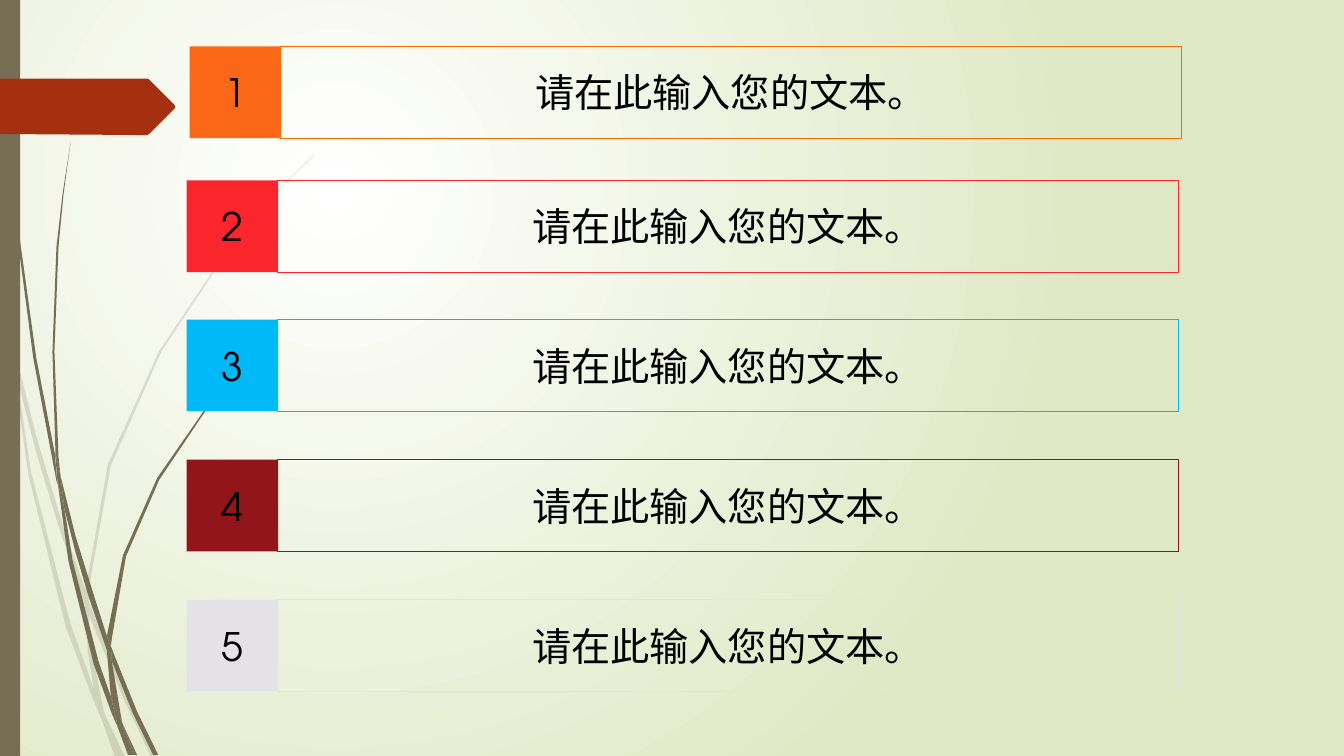
import dataclasses
import typing

import lxml.etree
import pptx
import pptx.dml.color
import pptx.enum.shapes
import pptx.enum.text
import pptx.oxml
import pptx.oxml.ns
import pptx.shapes.autoshape
import pptx.shapes.shapetree
import pptx.slide
import pptx.util

Inches = pptx.util.Inches
Points = tuple[tuple[float, float], ...]
Shapes = pptx.shapes.shapetree.SlideShapes | pptx.shapes.shapetree.GroupShapes

COLORS = {
    "white": "FFFFFF", "sage": "DFE8C4", "olive": "766F54", "rust": "A53010",
    "black": "000000", "orange": "FA6717", "orange line": "F96D00",
    "red": "FB262C", "blue": "00BAF7", "maroon": "921519", "grey": "E4E2E6",
}
FONT = "TeX Gyre Adventor"
PROMPT = "请在此输入您的文本。"
BADGE_SIZE = 0.91
FRAME_OFFSET = 0.9
FRAME_WIDTH = 8.94


@dataclasses.dataclass(frozen=True)
class Row:
    left: float
    top: float
    fill: str
    line: str


@dataclasses.dataclass(frozen=True)
class Grass:
    opacity: int
    blades: tuple[Points, ...]


ROWS = (
    Row(1.88, 0.46, "orange", "orange line"),
    Row(1.85, 1.79, "red", "red"),
    Row(1.85, 3.17, "blue", "blue"),
    Row(1.85, 4.56, "maroon", "maroon"),
    Row(1.85, 5.95, "grey", "grey"),
)

PALE_GRASS = Grass(20, (
    ((0.11, 3.5), (0.09, 3.22), (0, 2.82), (0, 2.99), (0.1, 3.44)),
    ((0.58, 5.22), (0.84, 5.99), (0.85, 5.86), (0.62, 5.2), (0.36, 4.33),
     (0.14, 3.45), (0.17, 3.76), (0.36, 4.49)),
    ((0.92, 6.07), (0.88, 5.96), (0.88, 6.1), (1.23, 6.94), (1.5, 7.51),
     (1.55, 7.51), (1.27, 6.92)),
    ((1.19, 7.51), (1.24, 7.51), (1.05, 7.11)),
    ((0.93, 6.83), (0.7, 6.19), (0.31, 4.69), (0.17, 3.76), (0.11, 3.5),
     (0.28, 4.7), (0.65, 6.21), (0.92, 6.93), (1.01, 7.14), (0.99, 7.07)),
    ((0.84, 5.99), (0.87, 6.46), (0.93, 6.83), (0.96, 6.92), (1.05, 7.11),
     (1.03, 7.06), (0.91, 6.46), (0.88, 6.1), (0.88, 6.08)),
    ((0.88, 5.84), (1.1, 4.62), (1.6, 3.49), (2.29, 2.45), (2.68, 1.98),
     (2.9, 1.75), (3.12, 1.54), (3.12, 1.53), (2.89, 1.75), (2.68, 1.97),
     (2.28, 2.44), (1.58, 3.48), (1.07, 4.61), (0.85, 5.84), (0.85, 5.86),
     (0.88, 5.96)),
    ((1.01, 7.14), (1.14, 7.51), (1.19, 7.51)),
    ((0.88, 6.08), (0.88, 6.1), (0.88, 5.96), (0.85, 5.86), (0.84, 5.99)),
    ((0.96, 6.92), (0.93, 6.83), (0.99, 7.07), (1.01, 7.14), (1.19, 7.51),
     (1.05, 7.11)),
))

DARK_GRASS = Grass(100, (
    ((0.07, 1.1), (0.17, 2.33), (0.33, 3.55), (0.56, 4.77), (0.57, 4.81),
     (0.55, 4.57), (0.55, 4.53), (0.36, 3.55), (0.19, 2.32), (0.08, 1.09),
     (0.05, 0.48), (0.04, 0), (0.03, 0), (0.04, 0.48)),
    ((0.88, 5.92), (1.06, 6.45), (1.06, 6.33), (1.06, 6.31), (0.93, 5.9),
     (0.75, 5.32), (0.6, 4.72), (0.64, 5.05), (0.75, 5.48)),
    ((1.13, 6.49), (1.1, 6.41), (1.11, 6.56), (1.32, 7.08), (1.52, 7.49),
     (1.57, 7.49), (1.36, 7.06)),
    ((1.1, 6.91), (0.98, 6.57), (0.72, 5.56), (0.64, 5.05), (0.57, 4.77),
     (0.68, 5.57), (0.93, 6.59), (1.11, 7.08), (1.17, 7.22), (1.16, 7.17)),
    ((0.6, 4.72), (0.58, 4.53), (0.54, 3.49), (0.58, 2.45), (0.63, 1.93),
     (0.7, 1.41), (0.62, 1.93), (0.56, 2.45), (0.52, 3.49), (0.55, 4.49)),
    ((1.33, 7.49), (1.36, 7.49), (1.22, 7.19)),
    ((0.57, 4.77), (0.64, 5.05), (0.6, 4.72), (0.55, 4.49), (0.55, 4.53)),
    ((1.11, 6.33), (1.25, 5.52), (1.58, 4.76), (2.05, 4.06), (2.31, 3.74),
     (2.45, 3.59), (2.61, 3.44), (2.6, 3.44), (2.45, 3.58), (2.31, 3.73),
     (2.04, 4.05), (1.56, 4.74), (1.22, 5.51), (1.06, 6.31), (1.1, 6.41)),
    ((1.17, 7.22), (1.27, 7.49), (1.31, 7.49)),
    ((1.06, 6.45), (1.1, 6.91), (1.16, 7.06), (1.22, 7.19), (1.21, 7.16),
     (1.11, 6.56), (1.09, 6.51)),
    ((1.06, 6.45), (1.09, 6.51), (1.11, 6.56), (1.1, 6.41), (1.06, 6.31),
     (1.06, 6.33)),
    ((1.16, 7.06), (1.1, 6.91), (1.16, 7.17), (1.17, 7.22), (1.3, 7.49),
     (1.33, 7.49), (1.22, 7.19)),
))

ARROW_TAB: Points = (
    (0, 0.78), (1.46, 0.78), (1.48, 0.79), (1.73, 1.04), (1.74, 1.06),
    (1.73, 1.08), (1.48, 1.33), (1.46, 1.34), (1.36, 1.34), (0, 1.33),
)


def paint(sp: pptx.shapes.autoshape.Shape, fill: typing.Optional[str] = None,
          line: typing.Optional[str] = None, opacity: int = 100) -> None:
    sp.shadow.inherit = False
    if fill is None:
        sp.fill.background()
    else:
        sp.fill.solid()
        sp.fill.fore_color.rgb = pptx.dml.color.RGBColor.from_string(COLORS[fill])
        if opacity < 100:
            color = sp.element.spPr.find(".//" + pptx.oxml.ns.qn("a:srgbClr"))
            lxml.etree.SubElement(color, pptx.oxml.ns.qn("a:alpha"),
                                  val=str(opacity * 1000))
    if line is None:
        sp.line.fill.background()
    else:
        sp.line.color.rgb = pptx.dml.color.RGBColor.from_string(COLORS[line])
        sp.line.width = pptx.util.Pt(0.75)


def add_outline(shapes: Shapes, points: Points, fill: str, opacity: int = 100) -> None:
    corners = [(Inches(x), Inches(y)) for x, y in points]
    builder = shapes.build_freeform(*corners[0])
    builder.add_line_segments(corners[1:], close=True)
    paint(builder.convert_to_shape(), fill, opacity=opacity)


def add_box(shapes: Shapes, left: float, top: float, width: float,
            height: float) -> pptx.shapes.autoshape.Shape:
    return shapes.add_shape(pptx.enum.shapes.MSO_SHAPE.RECTANGLE, Inches(left),
                            Inches(top), Inches(width), Inches(height))


def write(sp: pptx.shapes.autoshape.Shape, text: str) -> None:
    tf = sp.text_frame
    tf.word_wrap = True
    tf.vertical_anchor = pptx.enum.text.MSO_ANCHOR.MIDDLE
    tf.text = text
    p = tf.paragraphs[0]
    p.alignment = pptx.enum.text.PP_ALIGN.CENTER
    r = p.runs[0]
    r.font.name = FONT
    r.font.size = pptx.util.Pt(28)
    r.font.color.rgb = pptx.dml.color.RGBColor.from_string(COLORS["black"])


def add_row(shapes: Shapes, row: Row, number: int) -> None:
    group = shapes.add_group_shape().shapes
    badge = add_box(group, row.left, row.top, BADGE_SIZE, BADGE_SIZE)
    paint(badge, fill=row.fill)
    write(badge, str(number))
    frame = add_box(group, row.left + FRAME_OFFSET, row.top, FRAME_WIDTH, BADGE_SIZE)
    paint(frame, line=row.line)
    write(frame, PROMPT)


def set_background(s: pptx.slide.Slide) -> None:
    fill = s.background.fill
    fill.gradient()
    for stop, name in zip(fill.gradient_stops, ("white", "sage")):
        stop.color.rgb = pptx.dml.color.RGBColor.from_string(COLORS[name])
    gradient = s.element.find(".//" + pptx.oxml.ns.qn("a:gradFill"))
    linear = gradient.find(pptx.oxml.ns.qn("a:lin"))
    radial = pptx.oxml.parse_xml(
        f'<a:path {pptx.oxml.ns.nsdecls("a")} path="circle">'
        '<a:fillToRect l="50000" t="50000" r="100000" b="100000"/></a:path>')
    gradient.replace(linear, radial)


def main() -> None:
    prs = pptx.Presentation()
    prs.slide_width, prs.slide_height = Inches(13.33), Inches(7.5)
    s = prs.slides.add_slide(prs.slide_layouts[6])
    set_background(s)
    for grass in (PALE_GRASS, DARK_GRASS):
        group = s.shapes.add_group_shape().shapes
        for blade in grass.blades:
            add_outline(group, blade, "olive", grass.opacity)
    paint(add_box(s.shapes, 0, 0, 0.2, 7.5), "olive")
    add_outline(s.shapes, ARROW_TAB, "rust")
    for number, row in enumerate(ROWS, start=1):
        add_row(s.shapes, row, number)
    prs.save("out.pptx")


if __name__ == "__main__":
    main()
